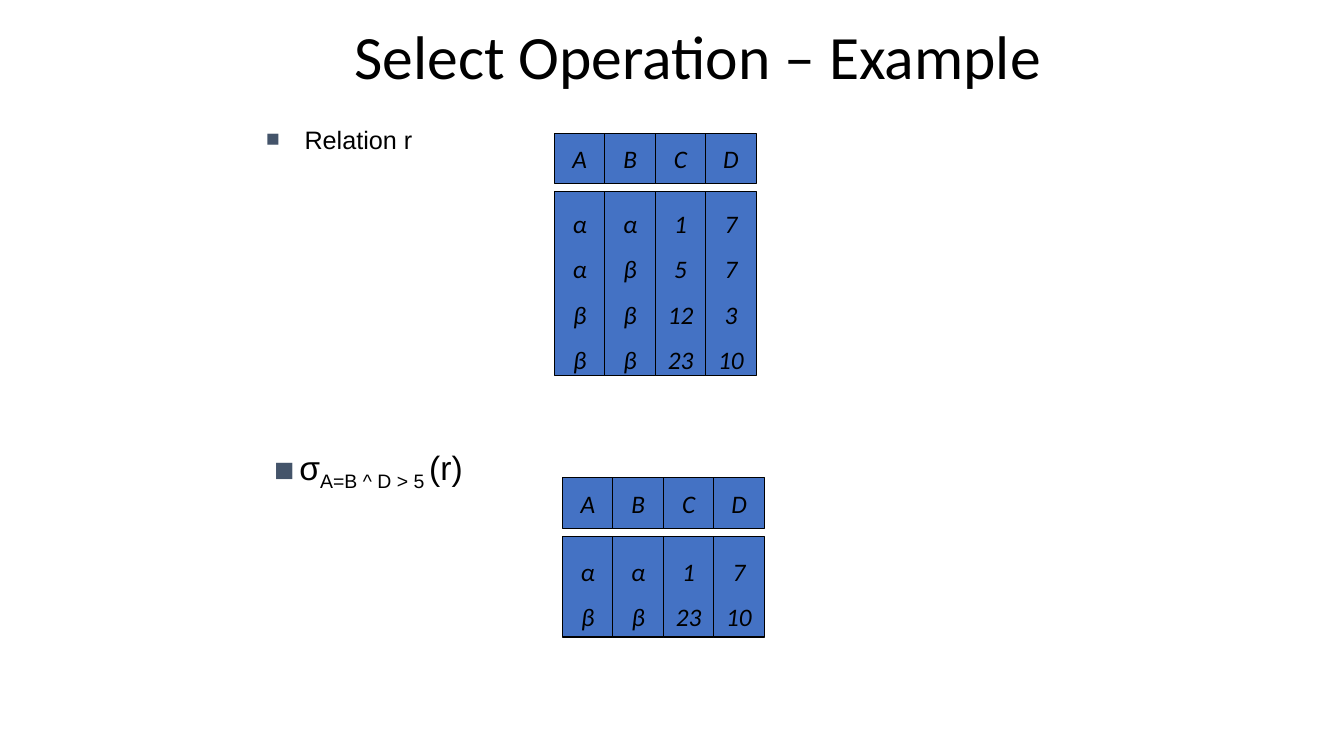
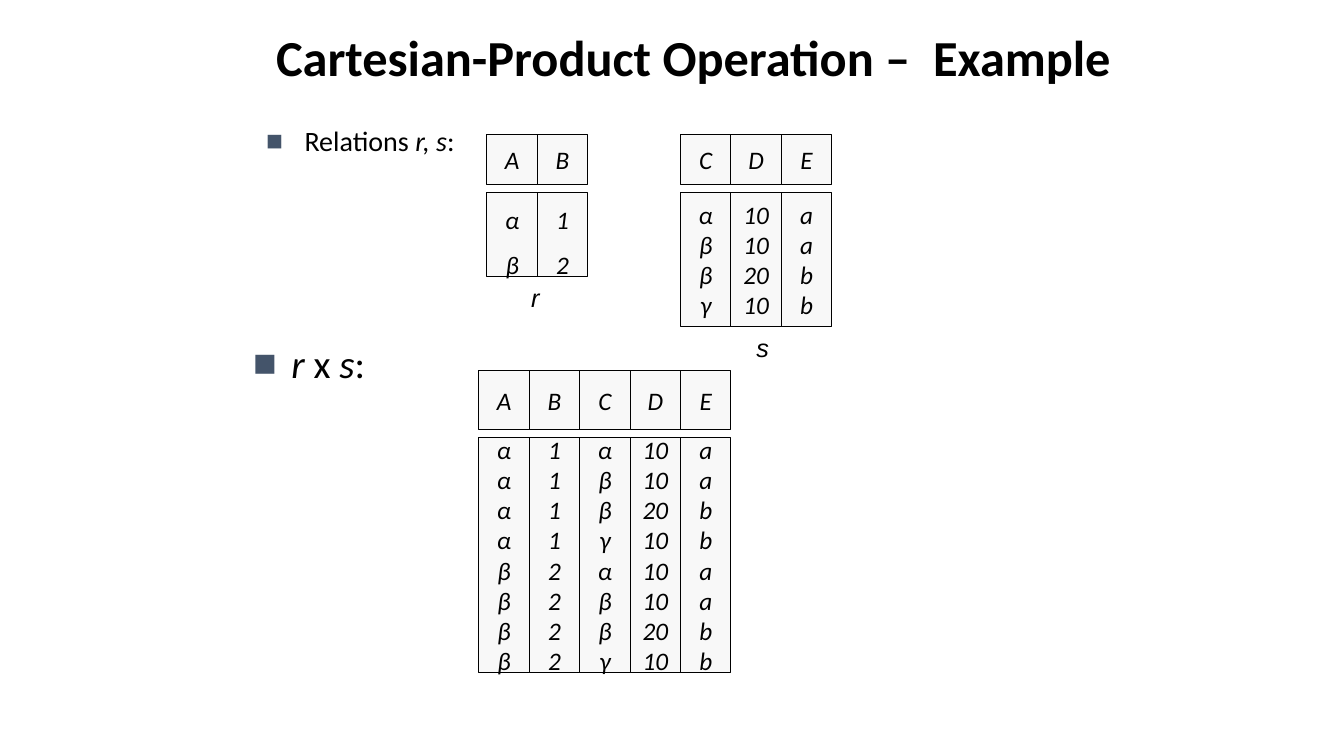
from itertools import product

from lxml import etree
from pptx import Presentation
from pptx.dml.color import RGBColor
from pptx.enum import shapes, text
from pptx.oxml.ns import qn
from pptx.util import Inches, Pt

COLORS = {
    "ink": "000000",
    "bullet": "44546A",
    "blue": "4472C4",
    "pale": "F8F8F8",
}
HEADING_FONT = "Calibri"
PLAIN_FONT = "Arial"
COLUMN_WIDTH = 0.5
HEADER_GAP = 0.08


def color(name):
    return RGBColor.from_string(COLORS[name])


def style(font, size, name=HEADING_FONT, bold=False, italic=False):
    font.name, font.size = name, Pt(size)
    font.bold, font.italic = bold, italic
    font.color.rgb = color("ink")


def place(shape, left, top, width, height):
    shape.left, shape.top = Inches(left), Inches(top)
    shape.width, shape.height = Inches(width), Inches(height)


def add_page(deck, layout, title, box, size, bold=False):
    """Add a slide whose title is placed in the given box."""
    page = deck.slides.add_slide(deck.slide_layouts.get_by_name(layout))
    heading = page.shapes.title
    place(heading, *box)
    frame = heading.text_frame
    frame.text = title
    frame.auto_size = text.MSO_AUTO_SIZE.NONE
    frame.vertical_anchor = text.MSO_ANCHOR.TOP
    para = frame.paragraphs[0]
    para.alignment = text.PP_ALIGN.CENTER
    style(para.runs[0].font, size, bold=bold)
    return page


def add_bullet(para, indent, percent=100):
    """Give the paragraph a square bullet with a hanging indent in inches."""
    settings = para._p.get_or_add_pPr()
    settings.set("marL", str(Inches(indent)))
    settings.set("indent", str(-Inches(indent)))
    tint = etree.SubElement(settings, qn("a:buClr"))
    etree.SubElement(tint, qn("a:srgbClr"), val=COLORS["bullet"])
    etree.SubElement(settings, qn("a:buSzPct"), val=str(percent * 1000))
    etree.SubElement(settings, qn("a:buFont"), typeface=PLAIN_FONT)
    etree.SubElement(settings, qn("a:buChar"), char="■")


def add_spans(para, spans, size, name=HEADING_FONT):
    """Add (words, italic) pairs as runs and return the runs."""
    runs = []
    for words, italic in spans:
        span = para.add_run()
        span.text = words
        style(span.font, size, name, italic=italic)
        runs.append(span)
    return runs


def fill_list(body, box, spans, size, name=HEADING_FONT, percent=100):
    """Turn a body placeholder into a one-item list in the given box."""
    place(body, *box)
    frame = body.text_frame
    frame.auto_size = text.MSO_AUTO_SIZE.NONE
    frame.vertical_anchor = text.MSO_ANCHOR.TOP
    para = frame.paragraphs[0]
    add_bullet(para, 0.38, percent)
    para.space_before = Pt(0)
    add_spans(para, spans, size, name)


def add_label(page, box):
    """Add a centred, unwrapped text box and return its paragraph."""
    frame = page.shapes.add_textbox(*map(Inches, box)).text_frame
    frame.word_wrap = False
    frame.vertical_anchor = text.MSO_ANCHOR.MIDDLE
    para = frame.paragraphs[0]
    para.alignment = text.PP_ALIGN.CENTER
    return para


def add_caption(page, name, box):
    add_spans(add_label(page, box), [(name, True)], 18, PLAIN_FONT)


def add_cell(page, box, values, fill, spacing):
    cell = page.shapes.add_shape(shapes.MSO_SHAPE.RECTANGLE, *map(Inches, box))
    cell.shadow.inherit = False
    cell.fill.solid()
    cell.fill.fore_color.rgb = color(fill)
    cell.line.color.rgb = color("ink")
    cell.line.width = Pt(0.75)
    frame = cell.text_frame
    frame.word_wrap = False
    frame.vertical_anchor = text.MSO_ANCHOR.MIDDLE
    frame.text = "\n".join(map(str, values))
    for para in frame.paragraphs:
        para.alignment = text.PP_ALIGN.CENTER
        para.line_spacing = spacing
        style(para.runs[0].font, 18, italic=True)


def add_relation(page, left, top, names, rows, height, fill,
                 spacing=1.0, header=0.5):
    """Draw a relation: a row of attribute names above one tall cell a column."""
    lefts = [left + COLUMN_WIDTH * i for i in range(len(names))]
    body_top = top + header + HEADER_GAP
    for x, name in zip(lefts, names):
        add_cell(page, (x, top, COLUMN_WIDTH, header), [name], fill, 1.0)
    for x, values in zip(lefts, zip(*rows)):
        add_cell(page, (x, body_top, COLUMN_WIDTH, height), values, fill, spacing)


def build_select(deck):
    page = add_page(deck, "Title and Content", "Select Operation – Example",
                    (2.51, 0.13, 8.83, 0.67), 44)
    fill_list(page.placeholders[1], (2.54, 1.18, 1.79, 0.4),
              [("Relation r", False)], 18, PLAIN_FONT, 90)
    rows = [("α", "α", 1, 7), ("α", "β", 5, 7),
            ("β", "β", 12, 3), ("β", "β", 23, 10)]
    add_relation(page, 5.5, 1.32, "ABCD", rows, 1.83, "blue", 1.5)

    para = add_label(page, (2.53, 4.41, 2.25, 0.5))
    add_bullet(para, 0.25)
    words = ["σ", "A=B ^ D > 5", " ", "(r)"]
    runs = add_spans(para, [(word, False) for word in words], 24, PLAIN_FONT)
    for span in runs[1:3]:
        span._r.get_or_add_rPr().set("baseline", "-25000")
    runs[2].font.size = Pt(20)
    selected = [row for row in rows if row[0] == row[1] and row[3] > 5]
    add_relation(page, 5.58, 4.74, "ABCD", selected, 1, "blue", 1.5)


def build_product(deck):
    page = add_page(deck, "Two Content", "Cartesian-Product Operation –  Example",
                    (2.26, 0.21, 9.24, 0.55), 36, bold=True)
    fill_list(page.placeholders[1], (2.54, 1.18, 7.69, 0.36),
              [("Relations ", False), ("r, s", True), (":", False)], 20)
    fill_list(page.placeholders[2], (2.41, 3.32, 7.69, 0.36),
              [("r", True), (" x ", False), ("s", True), (":", False)], 28)
    r_rows = [("α", 1), ("β", 2)]
    s_rows = [("α", 10, "a"), ("β", 10, "a"), ("β", 20, "b"), ("γ", 10, "b")]
    pairs = [r + s for r, s in product(r_rows, s_rows)]
    add_relation(page, 4.83, 1.33, "AB", r_rows, 0.83, "pale", 1.5)
    add_relation(page, 6.75, 1.33, "CDE", s_rows, 1.33, "pale")
    add_relation(page, 4.75, 3.68, "ABCDE", pairs, 2.33, "pale", header=0.58)
    add_caption(page, "r", (5.17, 2.75, 0.28, 0.4))
    add_caption(page, "s", (7.4, 3.25, 0.33, 0.4))


def main():
    deck = Presentation()
    deck.slide_width, deck.slide_height = Inches(13.33), Inches(7.5)
    build_select(deck)
    build_product(deck)
    deck.save("out.pptx")


if __name__ == "__main__":
    main()
